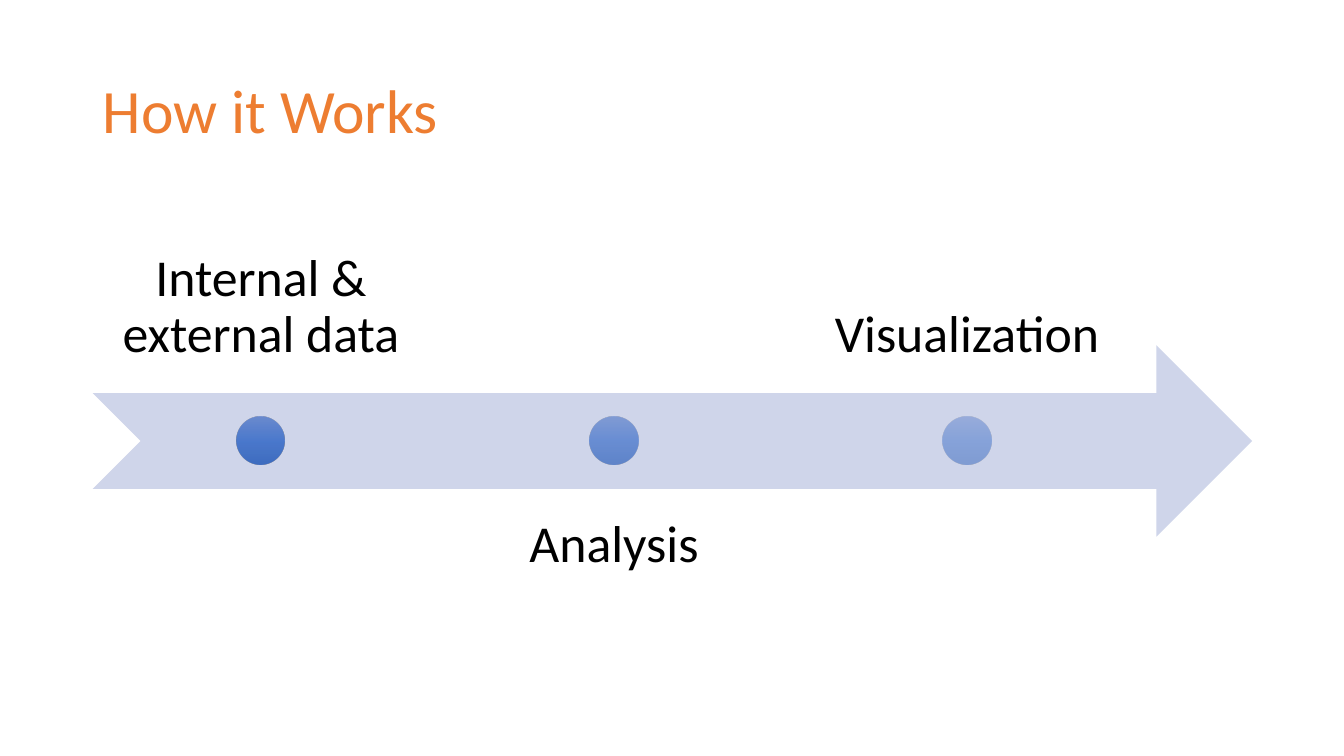
from lxml import etree
from pptx import Presentation
from pptx.dml.color import RGBColor
from pptx.enum.shapes import MSO_SHAPE as Shape
from pptx.enum.text import MSO_ANCHOR as Anchor, MSO_AUTO_SIZE as AutoSize, PP_ALIGN as Align
from pptx.oxml.ns import qn
from pptx.util import Inches, Pt

COLORS = {
    "title": "ED7D31",
    "label": "000000",
    "arrow": "CFD5EA",
    "dot_top": "6183CB",
    "dot_middle": "3E70CA",
    "dot_bottom": "3062BB",
}
DOT_STOPS = [(0, "dot_top"), (50, "dot_middle"), (100, "dot_bottom")]
STEPS = [
    ("Internal & external data", 90),
    ("Analysis", 70),
    ("Visualization", 50),
]


def write_text(holder, text, *, size, color, align, anchor, inset=None):
    frame = holder.text_frame
    frame.word_wrap = True
    frame.auto_size = AutoSize.NONE
    frame.vertical_anchor = anchor
    if inset is not None:
        frame.margin_left = frame.margin_right = Inches(inset)
        frame.margin_top = frame.margin_bottom = Inches(inset)
    paragraph = frame.paragraphs[0]
    paragraph.alignment = align
    paragraph.line_spacing = 0.9
    run = paragraph.add_run()
    run.text = text
    run.font.name = "Calibri"
    run.font.size = Pt(size)
    run.font.color.rgb = RGBColor.from_string(COLORS[color])


def add_plain_shape(slide, kind, left, top, width, height):
    shape = slide.shapes.add_shape(
        kind, Inches(left), Inches(top), Inches(width), Inches(height))
    shape.shadow.inherit = False
    shape.line.fill.background()
    return shape


def fill_dot(dot, opacity):
    dot.fill.gradient()
    dot.fill.gradient_angle = 270
    stops = dot.element.spPr.find(qn("a:gradFill")).find(qn("a:gsLst"))
    for stop in list(stops):
        stops.remove(stop)
    for position, color in DOT_STOPS:
        stop = etree.SubElement(stops, qn("a:gs"), pos=str(position * 1000))
        tint = etree.SubElement(stop, qn("a:srgbClr"), val=COLORS[color])
        etree.SubElement(tint, qn("a:alpha"), val=str(opacity * 1000))


def add_title(slide, left, top, width, height):
    title = slide.shapes.title
    title.left, title.top = Inches(left), Inches(top)
    title.width, title.height = Inches(width), Inches(height)
    write_text(title, "How it Works", size=44, color="title",
               align=Align.LEFT, anchor=Anchor.MIDDLE)


def add_timeline(slide, left, top, width, height):
    band = height * 0.4
    arrow_top = top + height * 0.3
    arrow = add_plain_shape(slide, Shape.NOTCHED_RIGHT_ARROW,
                            left, arrow_top, width, band)
    arrow.fill.solid()
    arrow.fill.fore_color.rgb = RGBColor.from_string(COLORS["arrow"])

    label_width = width * 0.29
    pitch = label_width * 1.05
    dot_size = band / 4
    for index, (name, opacity) in enumerate(STEPS):
        above = index % 2 == 0
        label_left = left + index * pitch
        label_top = top if above else top + height - band
        label = slide.shapes.add_textbox(
            Inches(label_left), Inches(label_top), Inches(label_width), Inches(band))
        write_text(label, name, size=37, color="label", align=Align.CENTER,
                   anchor=Anchor.BOTTOM if above else Anchor.TOP, inset=0.29)
        dot = add_plain_shape(
            slide, Shape.OVAL, label_left + (label_width - dot_size) / 2,
            top + (height - dot_size) / 2, dot_size, dot_size)
        fill_dot(dot, opacity)


def main():
    deck = Presentation()
    deck.slide_width, deck.slide_height = Inches(13.33), Inches(7.5)
    slide = deck.slides.add_slide(deck.slide_layouts[5])
    add_title(slide, 0.92, 0.4, 11.5, 1.45)
    add_timeline(slide, 0.92, 2, 11.5, 4.75)
    deck.save("out.pptx")


if __name__ == "__main__":
    main()
